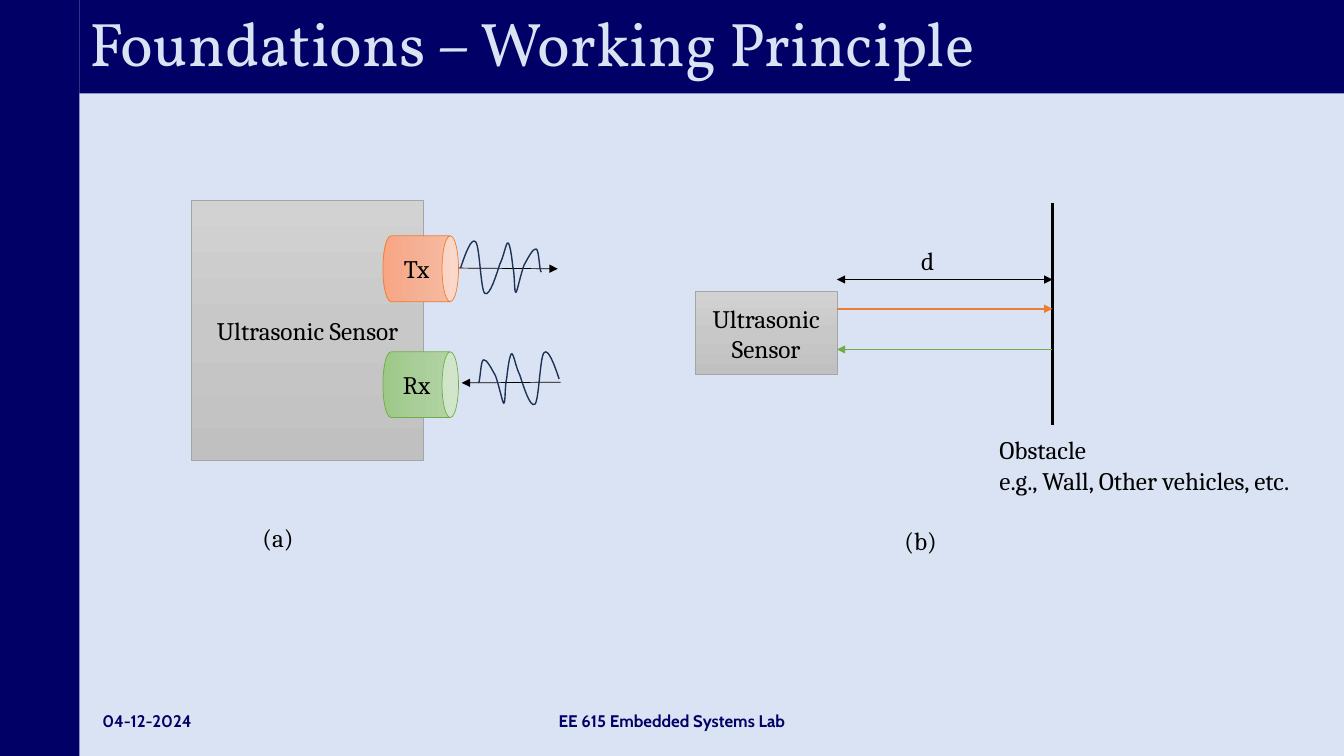
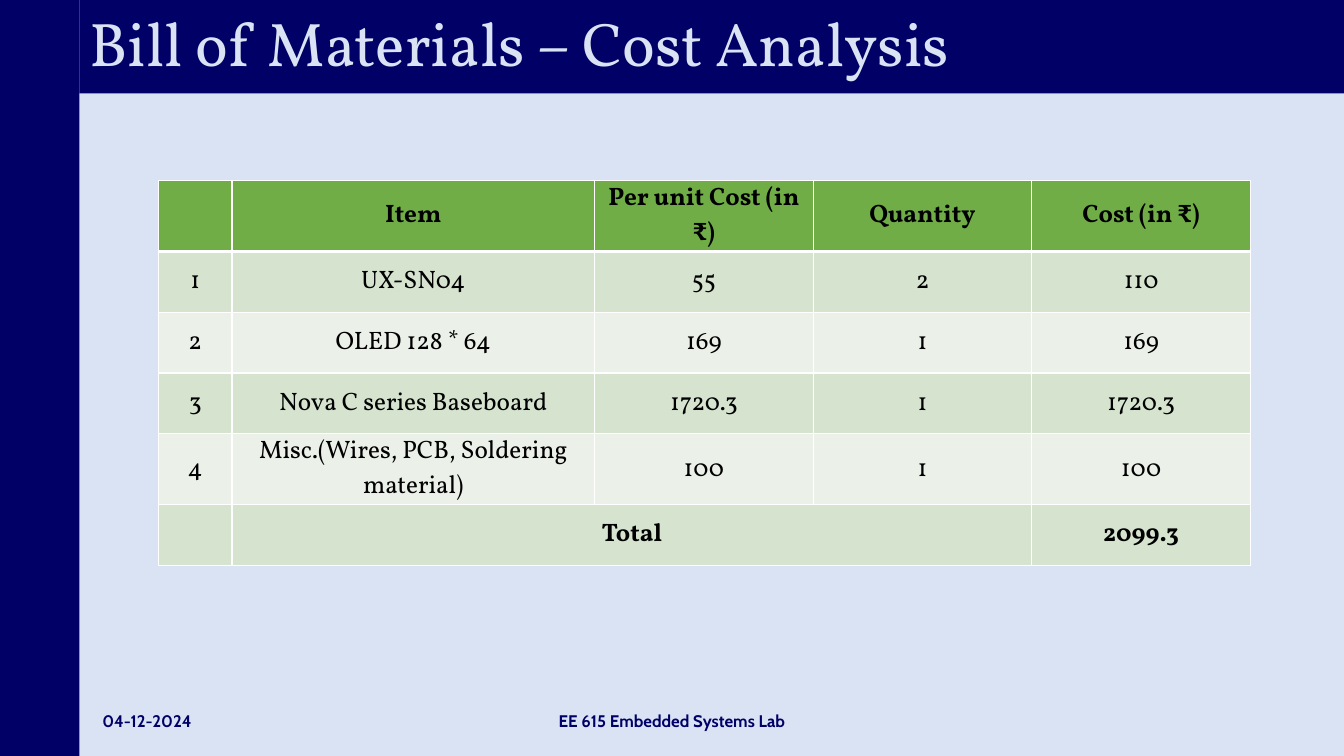
from copy import deepcopy

from lxml.etree import SubElement
from pptx import Presentation
from pptx.dml.color import RGBColor
from pptx.enum.shapes import MSO_CONNECTOR as Connector, MSO_SHAPE as Preset
from pptx.enum.text import MSO_ANCHOR as Anchor, MSO_AUTO_SIZE as AutoSize, PP_ALIGN as Align
from pptx.oxml.ns import qn
from pptx.util import Pt

WIDTH, HEIGHT = 960, 540
SIDEBAR, TITLE_HEIGHT = 56.7, 66.7
COLORS = {
    "navy": "000066", "pale": "DAE3F3", "black": "000000", "white": "FFFFFF",
    "gray": "A5A5A5", "orange": "ED7D31", "green": "70AD47", "wave": "1E3256",
    "odd_row": "D5E3CF", "even_row": "EBF1E9",
}
GRADIENTS = {
    "gray": ("D2D2D2", "C8C8C8", "C0C0C0"),
    "orange": ("F7BDA5", "F5B196", "F8A582"),
    "green": ("B5D5A7", "AACE9A", "9CC987"),
}
WAVE_CURVES = (
    ((3.6, -10.8), (7.9, -22.3), (10.8, -18.7)),
    ((13.7, -15.8), (14.4, 15.8), (17.3, 18)),
    ((20.9, 20.9), (25.9, 3.6), (28.1, -2.9)),
    ((31, -8.6), (32.4, -18), (33.8, -18)),
    ((35.3, -18), (36.7, -7.2), (37.4, -0.7)),
    ((38.9, 5), (38.2, 18), (39.6, 17.3)),
    ((40.3, 17.3), (43.2, 3.6), (45.4, -2.2)),
    ((48.2, -7.2), (51.8, -14.4), (54, -13.7)),
    ((56.2, -13), (56.2, 1.4), (57.6, 2.9)),
)
COST_ROWS = (
    ("", "Item", "Per unit Cost (in ₹)", "Quantity", "Cost (in ₹)"),
    ("1", "UX-SN04", "55", "2", "110"),
    ("2", "OLED 128 * 64", "169", "1", "169"),
    ("3", "Nova C series Baseboard", "1720.3", "1", "1720.3"),
    ("4", "Misc.(Wires, PCB, Soldering material)", "100", "1", "100"),
    ("", "Total", "", "", "2099.3"),
)
COLUMN_SHARES = (0.73, 3.6, 2.17, 2.17, 2.17)
TWO_LINE_ROWS = (0, 4)
ROW_HEIGHT, TWO_LINE_HEIGHT = 43.4, 50.6


def rgb(name):
    return RGBColor.from_string(COLORS[name])


def points(*values):
    return [Pt(value) for value in values]


def set_text(frame, text, size=18, font="Cambria", color="black", bold=False, align=Align.LEFT):
    frame.text = text
    for paragraph in frame.paragraphs:
        paragraph.alignment = align
        for run in paragraph.runs:
            run.font.size = Pt(size)
            run.font.name = font
            run.font.bold = bold
            run.font.color.rgb = rgb(color)


def add_label(slide, text, left, top, width, height=29, wrap=False, anchor=Anchor.TOP, **style):
    frame = slide.shapes.add_textbox(*points(left, top, width, height)).text_frame
    frame.word_wrap = wrap
    frame.vertical_anchor = anchor
    set_text(frame, text, **style)


def add_block(slide, preset, text, left, top, width, height, color):
    shape = slide.shapes.add_shape(preset, *points(left, top, width, height))
    shape.shadow.inherit = False
    shape.fill.gradient()
    shape.fill.gradient_angle = 270
    stop_list = next(shape._element.iter(qn("a:gsLst")))
    stop_list.insert(1, deepcopy(stop_list[0]))
    for stop, shade, position in zip(shape.fill.gradient_stops, GRADIENTS[color], (0, 0.5, 1)):
        stop.color.rgb = RGBColor.from_string(shade)
        stop.position = position
    shape.line.color.rgb = rgb(color)
    shape.line.width = Pt(0.5)
    shape.text_frame.word_wrap = True
    shape.text_frame.vertical_anchor = Anchor.MIDDLE
    set_text(shape.text_frame, text, align=Align.CENTER)
    return shape


def add_line(slide, start, end, color="black", width=0.5, arrows=("tailEnd",)):
    line = slide.shapes.add_connector(Connector.STRAIGHT, *points(*start, *end))
    line.line.color.rgb = rgb(color)
    line.line.width = Pt(width)
    properties = line._element.spPr
    for arrow in arrows:
        SubElement(properties.find(qn("a:ln")), qn(f"a:{arrow}"), type="triangle")
    SubElement(properties, qn("a:effectLst"))


def bend_segments(wave, direction):
    segments = list(wave._element.iter(qn("a:lnTo")))
    for segment, (*controls, end) in zip(segments, WAVE_CURVES):
        end_point = segment[0]
        for index, control in enumerate(controls):
            point = deepcopy(end_point)
            point.set("x", str(int(end_point.get("x")) + Pt(direction * (control[0] - end[0]))))
            point.set("y", str(int(end_point.get("y")) + Pt(control[1] - end[1])))
            segment.insert(index, point)
        segment.tag = qn("a:cubicBezTo")


def add_wave(slide, left, top, direction):
    builder = slide.shapes.build_freeform(*points(left, top))
    knots = [points(left + direction * x, top + y) for _, _, (x, y) in WAVE_CURVES]
    builder.add_line_segments(knots, close=False)
    wave = builder.convert_to_shape()
    bend_segments(wave, direction)
    wave.shadow.inherit = False
    wave.fill.background()
    wave.line.color.rgb = rgb("wave")
    wave.line.width = Pt(1)


def add_transducer(slide, text, left, top, color):
    can = add_block(slide, Preset.CAN, text, left, top, 47, 54, color)
    can.rotation = 90
    can.text_frame._txBody.bodyPr.set("vert", "vert270")


def add_sensor_panel(slide, left, top):
    add_block(slide, Preset.RECTANGLE, "Ultrasonic Sensor", left, top, 165.5, 186, "gray")
    add_transducer(slide, "Tx", left + 140, top + 22, "orange")
    add_transducer(slide, "Rx", left + 140, top + 104.8, "green")
    add_label(slide, "(a)", left + 43.4, top + 226.4, 39)
    add_line(slide, (left + 190.6, top + 48.5), (left + 261.4, top + 49))
    add_wave(slide, left + 192, top + 48.5, 1)
    add_line(slide, (left + 263.5, top + 130), (left + 192.8, top + 130.5))
    add_wave(slide, left + 262.4, top + 127.7, -1)


def add_distance_panel(slide, left, top):
    sensor_right, obstacle = left + 101, left + 255
    add_block(slide, Preset.RECTANGLE, "Ultrasonic Sensor", left, top + 63, 101, 59.5, "gray")
    add_line(slide, (obstacle, top), (obstacle, top + 158.3), width=1.5, arrows=())
    add_line(slide, (sensor_right, top + 75.4), (obstacle, top + 75.4), "orange", 1)
    add_line(slide, (obstacle, top + 104.4), (sensor_right, top + 104.4), "green", 1)
    add_label(slide, "d", left + 154, top + 26.5, 24.5)
    add_line(slide, (sensor_right, top + 54.5), (obstacle, top + 54.5), arrows=("headEnd", "tailEnd"))
    add_label(slide, "Obstacle\ne.g., Wall, Other vehicles, etc.", left + 210, top + 161.7, 252.7, 51)
    add_label(slide, "(b)", left + 142.2, top + 226.4, 39)


def set_borders(cell, widths):
    properties = cell._tc.get_or_add_tcPr()
    for side, width in widths.items():
        line = SubElement(properties, qn(f"a:ln{side}"), w=str(Pt(width)))
        fill = SubElement(line, qn("a:solidFill"))
        SubElement(fill, qn("a:srgbClr"), val=COLORS["white"])


def add_cost_table(slide, left, top, width):
    row_count, column_count = len(COST_ROWS), len(COLUMN_SHARES)
    box = points(left, top, width, ROW_HEIGHT * row_count)
    table = slide.shapes.add_table(row_count, column_count, *box).table
    table.first_row = table.horz_banding = False
    for column, share in zip(table.columns, COLUMN_SHARES):
        column.width = Pt(width * share / sum(COLUMN_SHARES))
    last = row_count - 1
    for row, texts in enumerate(COST_ROWS):
        table.rows[row].height = Pt(TWO_LINE_HEIGHT if row in TWO_LINE_ROWS else ROW_HEIGHT)
        fill = "green" if row == 0 else "odd_row" if row % 2 else "even_row"
        for column, text in enumerate(texts):
            cell = table.cell(row, column)
            cell.margin_left = cell.margin_right = cell.margin_top = Pt(0.7)
            cell.margin_bottom = 0
            cell.vertical_anchor = Anchor.MIDDLE
            set_borders(cell, {"L": 1, "R": 1, "T": 1, "B": 3 if row == 0 else 1})
            cell.fill.solid()
            cell.fill.fore_color.rgb = rgb(fill)
            if text:
                set_text(cell.text_frame, text, font="Vollkorn", bold=row in (0, last), align=Align.CENTER)
    table.cell(last, 1).merge(table.cell(last, 3))


def fill_navy(shape):
    shape.fill.solid()
    shape.fill.fore_color.rgb = rgb("navy")


def style_master(master, slide):
    master.background.fill.solid()
    master.background.fill.fore_color.rgb = rgb("pale")
    sidebar = slide.shapes.add_shape(Preset.RECTANGLE, *points(0, 0, SIDEBAR, HEIGHT))
    sidebar.shadow.inherit = False
    sidebar.line.fill.background()
    fill_navy(sidebar)
    master.shapes._spTree.insert(2, sidebar._element)


def add_titled_slide(presentation, title_text):
    slide = presentation.slides.add_slide(presentation.slide_layouts[5])
    title = slide.shapes.title
    title.left, title.top, title.width, title.height = points(SIDEBAR, 0, WIDTH - SIDEBAR, TITLE_HEIGHT)
    fill_navy(title)
    frame = title.text_frame
    frame.auto_size = AutoSize.NONE
    frame.vertical_anchor = Anchor.MIDDLE
    set_text(frame, title_text, size=44, font="Vollkorn", color="pale")
    frame.paragraphs[0].line_spacing = 0.9
    footer_style = {"wrap": True, "anchor": Anchor.MIDDLE, "size": 12, "font": "Cabin", "color": "navy", "bold": True}
    add_label(slide, "04-12-2024", 66, 500.4, 216, **footer_style)
    add_label(slide, "EE 615 Embedded Systems Lab", 318, 500.4, 324, align=Align.CENTER, **footer_style)
    return slide


def main():
    presentation = Presentation()
    presentation.slide_width, presentation.slide_height = points(WIDTH, HEIGHT)

    principle = add_titled_slide(presentation, "Foundations – Working Principle")
    style_master(presentation.slide_master, principle)
    add_sensor_panel(principle, 137, 143)
    add_distance_panel(principle, 496.8, 145.2)

    costs = add_titled_slide(presentation, "Bill of Materials – Cost Analysis")
    add_cost_table(costs, 113.2, 129, 780)
    presentation.save("out.pptx")


if __name__ == "__main__":
    main()
